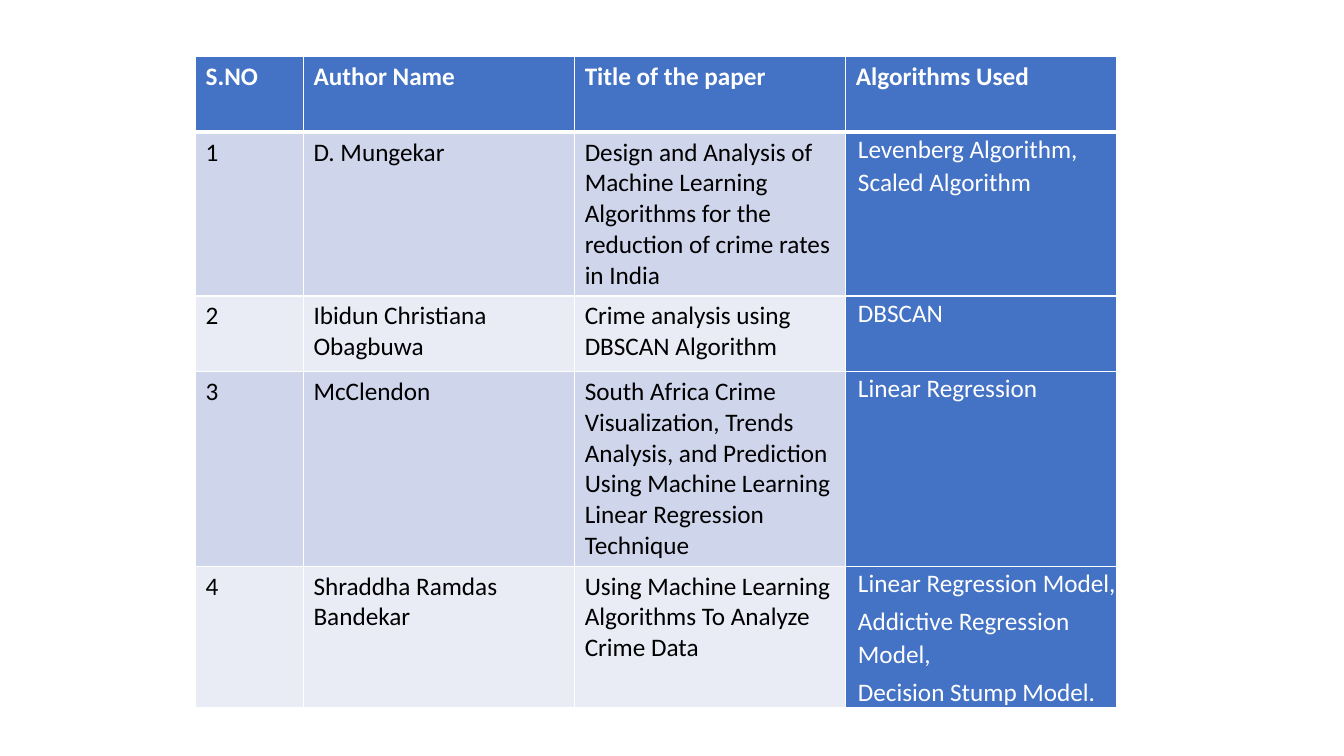
from lxml.etree import SubElement
from pptx import Presentation
from pptx.dml.color import RGBColor
from pptx.oxml.ns import qn
from pptx.util import Inches, Pt

COLORS = {"blue": "4472C4", "odd": "CFD5EA", "even": "E9EBF5",
          "white": "FFFFFF", "black": "000000"}
FONT, SIZE = "Calibri", 18

HEADER = ["S.NO", "Author Name", "Title of the paper", "Algorithms Used"]
# Author, paper title, algorithms (one paragraph each)
PAPERS = [
    ("D. Mungekar",
     "Design and Analysis of Machine Learning Algorithms for the reduction of crime rates in India",
     ["Levenberg Algorithm, Scaled Algorithm"]),
    ("Ibidun Christiana Obagbuwa",
     "Crime analysis using DBSCAN Algorithm",
     ["DBSCAN"]),
    ("McClendon",
     "South Africa Crime Visualization, Trends Analysis, and Prediction Using Machine Learning "
     "Linear Regression Technique",
     ["Linear Regression"]),
    ("Shraddha Ramdas Bandekar",
     "Using Machine Learning Algorithms To Analyze Crime Data",
     ["Linear Regression Model,", "Addictive Regression Model,", "Decision Stump Model."]),
]
LEFT, TOP = 1.94, 0.56
COL_WIDTHS = [1.07] + [2.69] * 3
ROW_HEIGHTS = [0.75, 1.31, 0.75, 1.79, 1.39]


def rgb(name):
    return RGBColor.from_string(COLORS[name])


def set_borders(cell, top, bottom):
    """White cell borders; they must precede the fill in the cell properties."""
    tc_pr = cell._tc.get_or_add_tcPr()
    for side, width in (("L", 1), ("R", 1), ("T", top), ("B", bottom)):
        ln = SubElement(tc_pr, qn(f"a:ln{side}"), w=str(Pt(width)))
        fill = SubElement(ln, qn("a:solidFill"))
        SubElement(fill, qn("a:srgbClr"), val=COLORS["white"])


def write_cell(cell, lines, fill, color, bold=False, compact=False):
    cell.fill.solid()
    cell.fill.fore_color.rgb = rgb(fill)
    tf = cell.text_frame
    if compact:
        cell.margin_left = cell.margin_right = cell.margin_top = cell.margin_bottom = 0
    for i, line in enumerate(lines):
        p = tf.paragraphs[0] if i == 0 else tf.add_paragraph()
        if compact:
            p.line_spacing = 1.07
            p.space_before = Pt(3.6)
            p._p.get_or_add_pPr().set("marL", str(Inches(0.12)))
        r = p.add_run()
        r.text = line
        r.font.name, r.font.size, r.font.bold = FONT, Pt(SIZE), bold
        r.font.color.rgb = rgb(color)


prs = Presentation()
prs.slide_width, prs.slide_height = Inches(13.33), Inches(7.5)
s = prs.slides.add_slide(prs.slide_layouts[6])

# Table grid
table = s.shapes.add_table(
    len(ROW_HEIGHTS), len(COL_WIDTHS), Inches(LEFT), Inches(TOP),
    Inches(sum(COL_WIDTHS)), Inches(sum(ROW_HEIGHTS))).table
for column, width in zip(table.columns, COL_WIDTHS):
    column.width = Inches(width)
for row, height in zip(table.rows, ROW_HEIGHTS):
    row.height = Inches(height)
for i, row in enumerate(table.rows):
    for cell in row.cells:
        set_borders(cell, top=3 if i == 1 else 1, bottom=3 if i == 0 else 1)

# Header row
for cell, title in zip(table.rows[0].cells, HEADER):
    write_cell(cell, [title], "blue", "white", bold=True)

# One row per paper
for n, (author, title, algorithms) in enumerate(PAPERS, 1):
    band = "odd" if n % 2 else "even"
    for c, text in enumerate([str(n), author, title]):
        write_cell(table.cell(n, c), [text], band, "black")
    write_cell(table.cell(n, 3), algorithms, "blue", "white", compact=True)

prs.save("out.pptx")
